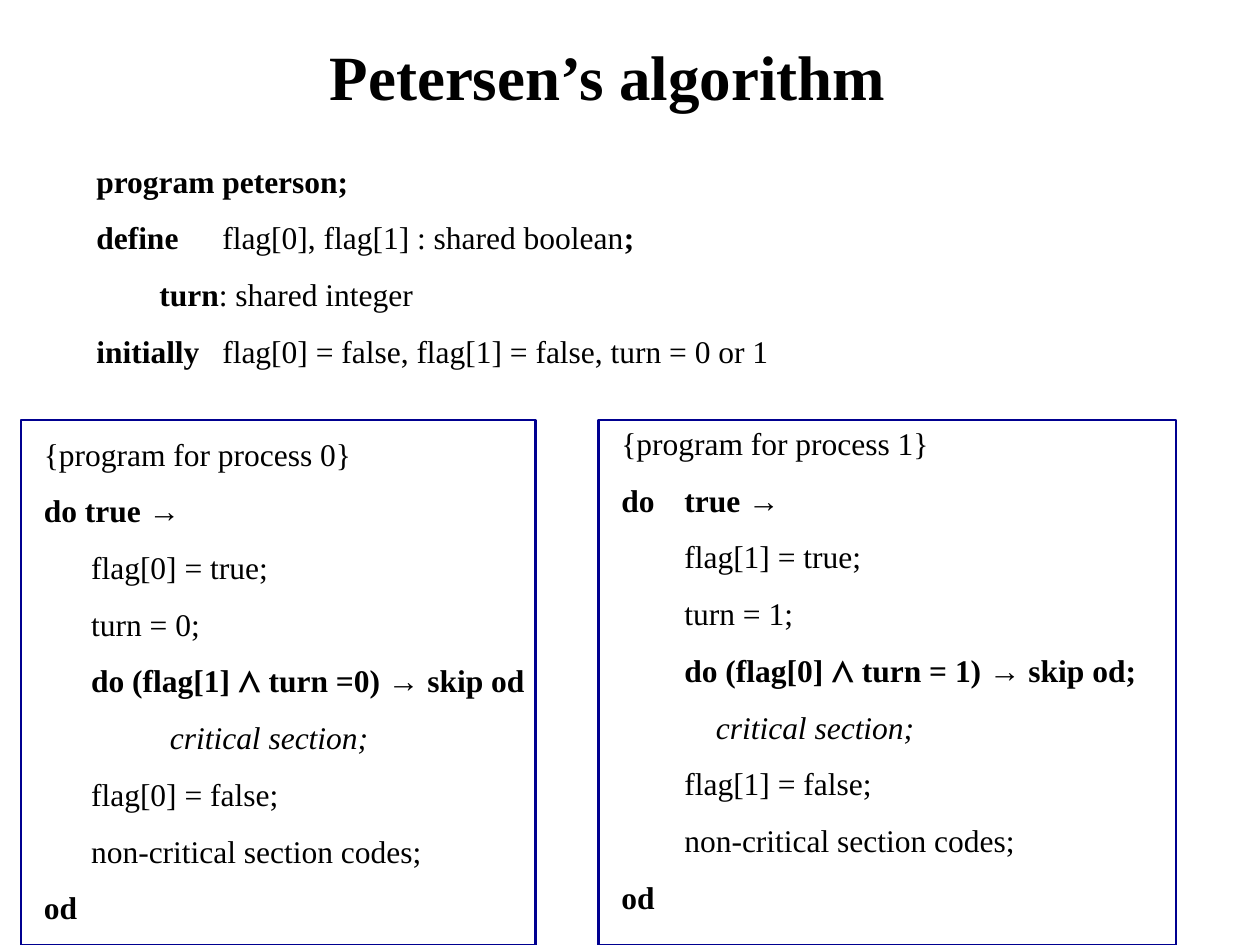
"""Build the slide on Petersen's algorithm: definitions above two boxed process programs."""
import pptx
import pptx.dml.color
import pptx.enum.shapes
import pptx.enum.text
import pptx.util
from lxml import etree

Pt = pptx.util.Pt
INK, FRAME = "000000", "000090"
TITLE = "Petersen’s algorithm"
PLAIN, BOLD, ITALIC = {}, {"bold": True}, {"italic": True}

DEFINITIONS = [
    (0, [("program\tpeterson;", BOLD)]),
    (0, [("define\t", BOLD), ("flag[0], flag[1] : shared boolean", PLAIN), (";", BOLD)]),
    (0, [("\tturn", BOLD), (": shared integer", PLAIN)]),
    (0, [("initially\t", BOLD), ("flag[0] = false, flag[1] = false, turn = 0 or 1", PLAIN)]),
]

PROCESSES = [
    {"number": 0, "opening": "do true →", "wait": "do (flag[1] ⋀ turn =0) → skip od",
     "indent": 27, "critical": 72, "tab": 72,
     "text": (18, 234, 330, 320), "frame": (12, 240, 294, 300)},
    {"number": 1, "opening": "do\ttrue →", "wait": "do (flag[0] ⋀ turn = 1) → skip od;",
     "indent": 36, "critical": 54, "tab": 32.5,
     "text": (348, 228, 321, 320), "frame": (342, 240, 330, 300)},
]


def colour(hex_value):
    return pptx.dml.color.RGBColor.from_string(hex_value)


def apply(target, values):
    for name, value in values.items():
        setattr(target, name, value)


def place(box):
    return [Pt(length) for length in box]


def style(run, size, extra):
    apply(run.font, {"name": "Times New Roman", "size": Pt(size), "bold": False, "italic": False, **extra})
    run.font.color.rgb = colour(INK)


def set_layout(paragraph, indent, tab):
    properties = paragraph._p.get_or_add_pPr()
    properties.set("marL", str(Pt(indent)))
    properties.set("indent", "0")
    tabs = etree.SubElement(properties, pptx.oxml.ns.qn("a:tabLst"))
    etree.SubElement(tabs, pptx.oxml.ns.qn("a:tab"), pos=str(Pt(tab)), algn="l")


def add_lines(slide, box, lines, tab):
    frame = slide.shapes.add_textbox(*place(box)).text_frame
    frame.word_wrap = True
    for index, (indent, pieces) in enumerate(lines):
        paragraph = frame.add_paragraph() if index else frame.paragraphs[0]
        paragraph.line_spacing = 1.5
        set_layout(paragraph, indent, tab)
        for words, extra in pieces:
            run = paragraph.add_run()
            run.text = words
            style(run, 18, extra)


def process_lines(process):
    number, indent = process["number"], process["indent"]
    program = [
        (0, f"{{program for process {number}}}", PLAIN),
        (0, process["opening"], BOLD),
        (indent, f"flag[{number}] = true;", PLAIN),
        (indent, f"turn = {number};", PLAIN),
        (indent, process["wait"], BOLD),
        (process["critical"], "critical section;", ITALIC),
        (indent, f"flag[{number}] = false;", PLAIN),
        (indent, "non-critical section codes;", PLAIN),
        (0, "od", BOLD),
    ]
    return [(left, [(words, extra)]) for left, words, extra in program]


def add_title(slide):
    title = slide.shapes.title
    apply(title, dict(zip(("left", "top", "width", "height"), place((180.5, 18, 333.5, 50.5)))))
    apply(title.text_frame, {"text": TITLE, "word_wrap": False,
                             "auto_size": pptx.enum.text.MSO_AUTO_SIZE.NONE,
                             "vertical_anchor": pptx.enum.text.MSO_ANCHOR.TOP})
    heading = title.text_frame.paragraphs[0]
    heading.alignment = pptx.enum.text.PP_ALIGN.CENTER
    style(heading.runs[0], 36, BOLD)


def add_frame(slide, box):
    border = slide.shapes.add_shape(pptx.enum.shapes.MSO_SHAPE.RECTANGLE, *place(box))
    border.shadow.inherit = False
    border.fill.background()
    border.line.color.rgb = colour(FRAME)
    border.line.width = Pt(1.5)


def main():
    deck = pptx.Presentation()
    apply(deck, {"slide_width": Pt(720), "slide_height": Pt(540)})
    slide = deck.slides.add_slide(deck.slide_layouts.get_by_name("Title Only"))
    add_title(slide)
    add_lines(slide, (48, 78, 606, 169), DEFINITIONS, 144)
    for process in PROCESSES:
        add_lines(slide, process["text"], process_lines(process), process["tab"])
        add_frame(slide, process["frame"])
    deck.save("out.pptx")


if __name__ == "__main__":
    main()
